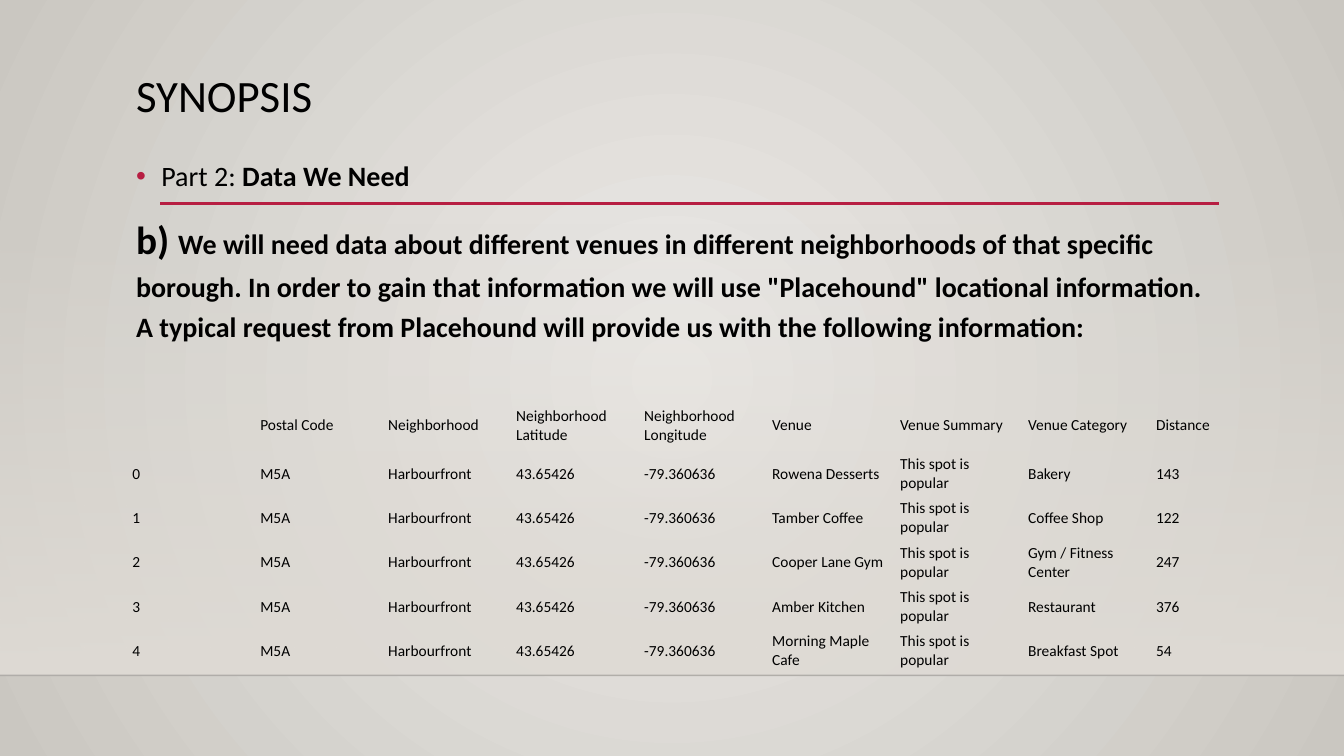
from pptx import Presentation
from pptx.dml.color import RGBColor
from pptx.enum.shapes import MSO_CONNECTOR, MSO_SHAPE
from pptx.enum.text import MSO_ANCHOR, MSO_AUTO_SIZE, PP_ALIGN
from pptx.oxml import parse_xml
from pptx.oxml.ns import nsdecls, qn
from pptx.util import Pt

# Content
TITLE = "SYNOPSIS"
BULLET = [("Part 2: ", 20, False), ("Data We Need", 20, True)]
NEED = [("b) ", 28, True),
        ("We will need data about different venues in different neighborhoods "
         "of that specific borough. In order to gain that information we will "
         "use \"Placehound\" locational information. A typical request from "
         "Placehound will provide us with the following information:", 20, True)]
HEAD = ["", "Postal Code", "Neighborhood", "Neighborhood Latitude",
        "Neighborhood Longitude", "Venue", "Venue Summary", "Venue Category",
        "Distance"]
AREA = ["M5A", "Harbourfront", "43.65426", "-79.360636"]
NOTE = "This spot is popular"
VENUES = [("Rowena Desserts", "Bakery", "143"),
          ("Tamber Coffee", "Coffee Shop", "122"),
          ("Cooper Lane Gym", "Gym / Fitness Center", "247"),
          ("Amber Kitchen", "Restaurant", "376"),
          ("Morning Maple Cafe", "Breakfast Spot", "54")]
ROWS = [HEAD] + [[str(i), *AREA, name, NOTE, kind, dist]
                 for i, (name, kind, dist) in enumerate(VENUES)]

# Layout in points
WIDE, HIGH = 960, 540
LEFT, SPAN = 90, 780
FLOOR = 482.4
COL, TOP_ROW, ROW = 91.44, 37.6, 28.8
RED, BLACK, SAND = "B71E42", "000000", "DFDBD5"
NO_GRID = "{2D5ABB26-0587-4C30-8999-92F81FD0307C}"


def color(code):
    return RGBColor.from_string(code)


def assign(item, values):
    for key, value in values.items():
        setattr(item, key, value)


def place(item, *box):
    assign(item, dict(zip(("left", "top", "width", "height"), map(Pt, box))))


def write(para, text, size, bold=False):
    run = para.add_run()
    run.text = text
    assign(run.font, {"name": "Calibri", "size": Pt(size), "bold": bold})
    run.font.color.rgb = color(BLACK)


def shade(node, stops, shape):
    """Replace the solid fill under node by a gradient."""
    marks = "".join(
        f'<a:gs pos="{pos * 1000}"><a:srgbClr val="{code}">'
        f'<a:alpha val="{alpha * 1000}"/></a:srgbClr></a:gs>'
        for pos, code, alpha in stops)
    old = node.find(".//" + qn("a:solidFill"))
    old.getparent().replace(old, parse_xml(
        f'<a:gradFill {nsdecls("a")}><a:gsLst>{marks}</a:gsLst>{shape}</a:gradFill>'))


def rule(x1, x2, y, code, width):
    line = slide.shapes.add_connector(
        MSO_CONNECTOR.STRAIGHT, Pt(x1), Pt(y), Pt(x2), Pt(y))
    line.line.color.rgb = color(code)
    line.line.width = Pt(width)
    line._element.spPr.append(parse_xml(f'<a:effectLst {nsdecls("a")}/>'))
    return line


deck = Presentation()
assign(deck, {"slide_width": Pt(WIDE), "slide_height": Pt(HIGH)})
slide = deck.slides.add_slide(deck.slide_layouts[1])

# Background
slide.background.fill.solid()
slide.background.fill.fore_color.rgb = color(SAND)
shade(slide._element, [(0, "ECEAE7", 100), (100, "CAC7C1", 100)],
      '<a:path path="circle"><a:fillToRect l="50000" t="50000" r="50000" b="50000"/></a:path>')

# Wall, floor edge and red rule, all behind the text
wall = slide.shapes.add_shape(MSO_SHAPE.RECTANGLE, 0, Pt(159), Pt(WIDE), Pt(FLOOR - 159))
wall.shadow.inherit = False
wall.line.fill.background()
wall.fill.solid()
wall.fill.fore_color.rgb = color(SAND)
shade(wall._element.spPr, [(0, SAND, 0), (100, SAND, 100)],
      '<a:lin ang="5400000" scaled="0"/>')
edge = rule(0, WIDE, FLOOR, "000001", 1)
edge._element.find(".//" + qn("a:srgbClr")).append(
    parse_xml(f'<a:alpha {nsdecls("a")} val="20000"/>'))
under = rule(114.5, 871, 145.2, RED, 2.5)
for i, part in enumerate((wall, edge, under)):
    slide.shapes._spTree.insert(2 + i, part._element)

# Title and body
title, body = slide.placeholders
place(title, LEFT, 49, SPAN, 57)
place(body, LEFT, 105, SPAN, 410)
for holder in (title, body):
    assign(holder.text_frame, {"word_wrap": True, "auto_size": MSO_AUTO_SIZE.NONE,
                               "vertical_anchor": MSO_ANCHOR.TOP})
head = title.text_frame.paragraphs[0]
assign(head, {"alignment": PP_ALIGN.LEFT, "line_spacing": 0.9})
write(head, TITLE, 32)

frame = body.text_frame
first, second = frame.paragraphs[0], frame.add_paragraph()
for para, runs, dent in ((first, BULLET, 18), (second, NEED, 0)):
    assign(para, {"line_spacing": 1.2, "space_before": Pt(10)})
    for run in runs:
        write(para, *run)
    props = para._p.get_or_add_pPr()
    props.set("marL", str(Pt(dent)))
    props.set("indent", str(Pt(-dent)))
    marks = (f'<a:buClr {nsdecls("a")}><a:srgbClr val="{RED}"/></a:buClr>',
             f'<a:buFont {nsdecls("a")} typeface="Arial"/>',
             f'<a:buChar {nsdecls("a")} char="•"/>') if dent else (
                 f'<a:buNone {nsdecls("a")}/>',)
    for mark in marks:
        props.append(parse_xml(mark))

# Venue table
count = len(HEAD)
grid = slide.shapes.add_table(
    len(ROWS), count, Pt(LEFT), Pt(285), Pt(COL * count),
    Pt(TOP_ROW + ROW * len(VENUES))).table
assign(grid, {"first_row": False, "horz_banding": False})
grid._tbl.tblPr.find(qn("a:tableStyleId")).text = NO_GRID
for col in grid.columns:
    col.width = Pt(COL)
for r, texts in enumerate(ROWS):
    grid.rows[r].height = Pt(ROW if r else TOP_ROW)
    for c, text in enumerate(texts):
        cell = grid.cell(r, c)
        cell.fill.background()
        assign(cell, {"vertical_anchor": MSO_ANCHOR.MIDDLE,
                      "margin_left": Pt(4.5), "margin_right": Pt(4.5),
                      "margin_top": Pt(2.25), "margin_bottom": Pt(2.25)})
        if text:
            write(cell.text_frame.paragraphs[0], text, 11)

deck.save("out.pptx")
